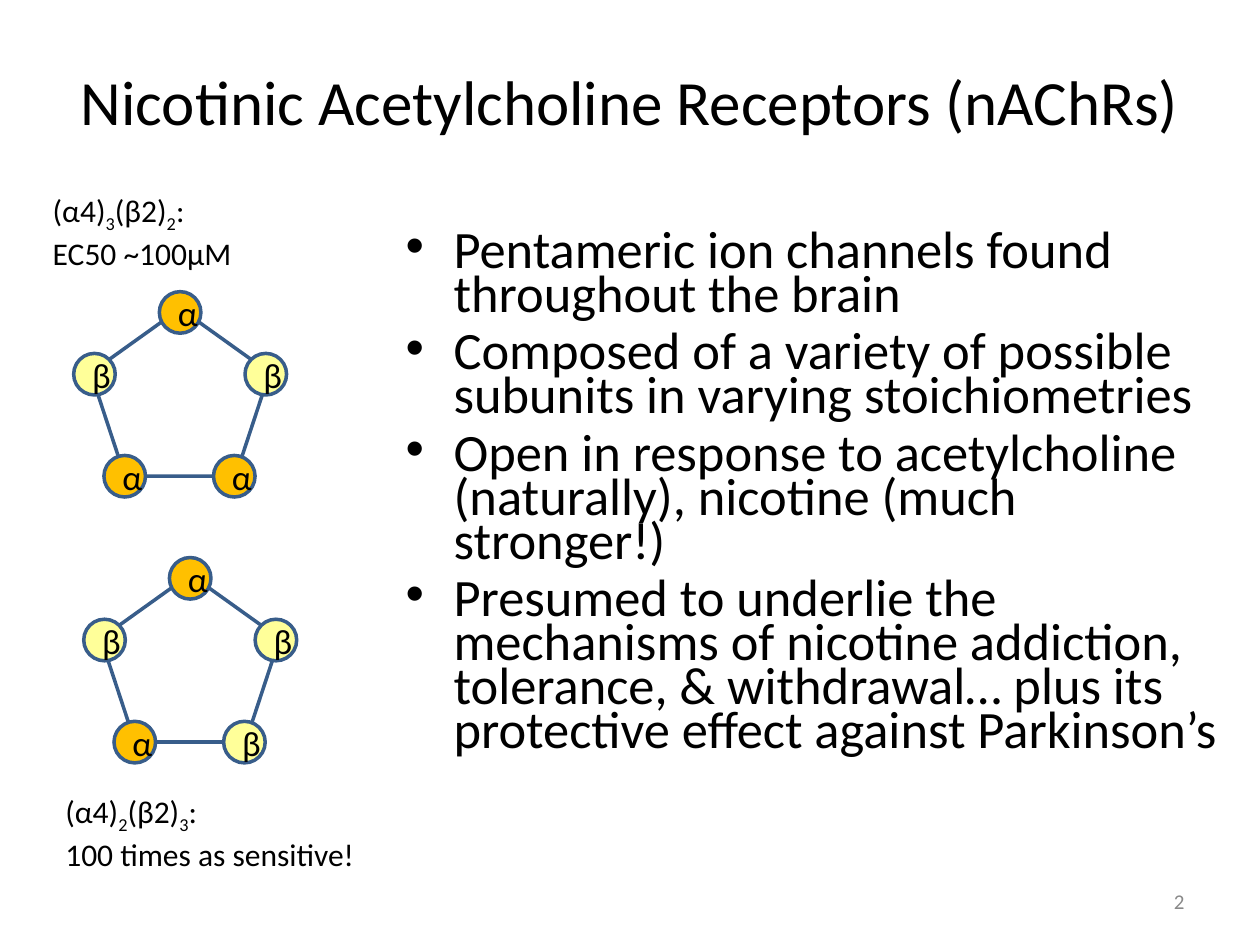
from lxml import etree
from pptx import Presentation
from pptx.dml.color import RGBColor
from pptx.enum.shapes import MSO_SHAPE as SHAPE
from pptx.enum.text import MSO_ANCHOR as ANCHOR, MSO_AUTO_SIZE as AUTO, PP_ALIGN as ALIGN
from pptx.oxml.ns import qn
from pptx.util import Inches, Pt

COLORS = {"text": "000000", "number": "898989", "outline": "385D8A",
          "α": "FFC000", "β": "FFFF99"}
FONT = "Calibri"

TITLE = "Nicotinic Acetylcholine Receptors (nAChRs)"
SLIDE_NUMBER = "2"
BULLETS = [
    "Pentameric ion channels found throughout the brain",
    "Composed of a variety of possible subunits in varying stoichiometries",
    "Open in response to acetylcholine (naturally), nicotine (much stronger!)",
    "Presumed to underlie the mechanisms of nicotine addiction, tolerance, "
    "& withdrawal… plus its protective effect against Parkinson’s",
]
# Pentagon left and top, then subunits counter-clockwise from the top
RECEPTORS = [(0.72, 2.45, "αβααβ"), (0.8, 4.56, "αβαββ")]
# Caption box, counts of α4 and β2, second line, wrapping
CAPTIONS = [
    ((0.32, 1.47, 1.78, 0.74), "3", "2", "EC50 ~100μM", True),
    ((0.42, 6.24, 2.49, 0.74), "2", "3", "100 times as sensitive!", False),
]
PENTAGON_W, PENTAGON_H, SUBUNIT_D = 1.42, 1.33, 0.33
# Subunit centres, measured from the middle of the pentagon's top edge
CENTERS = [(0, 0.03), (-0.68, 0.52), (-0.44, 1.33), (0.43, 1.33), (0.68, 0.52)]


def rgb(name):
    return RGBColor.from_string(COLORS[name])


def style(font, size, color="text"):
    font.name, font.size = FONT, Pt(size)
    font.color.rgb = rgb(color)


def place(sp, *box):
    sp.left, sp.top, sp.width, sp.height = map(Inches, box)


def add_outlined(shapes, kind, *box):
    sp = shapes.add_shape(kind, *map(Inches, box))
    sp.shadow.inherit = False
    sp.line.color.rgb = rgb("outline")
    sp.line.width = Pt(2)
    return sp


def add_receptor(s, left, top, subunits):
    shapes = s.shapes.add_group_shape().shapes
    ring = add_outlined(shapes, SHAPE.REGULAR_PENTAGON, left, top, PENTAGON_W, PENTAGON_H)
    ring.fill.background()
    for name, (dx, dy) in zip(subunits, CENTERS):
        x = left + PENTAGON_W / 2 + dx - SUBUNIT_D / 2
        y = top + dy - SUBUNIT_D / 2
        sp = add_outlined(shapes, SHAPE.OVAL, x, y, SUBUNIT_D, SUBUNIT_D)
        sp.fill.solid()
        sp.fill.fore_color.rgb = rgb(name)
        tf = sp.text_frame
        tf.text, tf.vertical_anchor = name, ANCHOR.MIDDLE
        p = tf.paragraphs[0]
        p.alignment = ALIGN.CENTER
        style(p.runs[0].font, 20)


def add_caption(s, box, alphas, betas, note, wrap):
    tf = s.shapes.add_textbox(*map(Inches, box)).text_frame
    tf.word_wrap, tf.auto_size = wrap, AUTO.SHAPE_TO_FIT_TEXT
    p = tf.paragraphs[0]
    for text in ("(α4)", alphas, "(β2)", betas, ":"):
        r = p.add_run()
        r.text = text
        style(r.font, 18)
        if text.isdigit():
            r.font._element.set("baseline", "-25000")
    p = tf.add_paragraph()
    p.text = note
    style(p.runs[0].font, 18)


def add_bullets(body):
    place(body, 3.12, 1.8, 6.65, 5.13)
    tf = body.text_frame
    tf.text = "\n".join(BULLETS)
    tf.auto_size = AUTO.NONE
    for i, p in enumerate(tf.paragraphs):
        p.line_spacing = 0.7
        p.space_before = Pt(7.5 if i else 0)
        pPr = p._p.get_or_add_pPr()
        pPr.set("marL", str(Inches(0.38)))
        pPr.set("indent", str(Inches(-0.38)))
        etree.SubElement(pPr, qn("a:buFont")).set("typeface", "Arial")
        etree.SubElement(pPr, qn("a:buChar")).set("char", "•")
        style(p.runs[0].font, 30)


def add_slide_number(s):
    tf = s.shapes.add_textbox(*map(Inches, (7.17, 6.95, 2.33, 0.4))).text_frame
    tf.word_wrap, tf.vertical_anchor = True, ANCHOR.MIDDLE
    tf.text = SLIDE_NUMBER
    p = tf.paragraphs[0]
    p.alignment = ALIGN.RIGHT
    style(p.runs[0].font, 12, "number")


def main():
    prs = Presentation()
    prs.slide_width, prs.slide_height = Inches(10), Inches(7.5)
    s = prs.slides.add_slide(prs.slide_layouts[1])
    title, body = s.placeholders
    place(title, 0.5, 0.17, 9, 1.25)
    tf = title.text_frame
    tf.text, tf.vertical_anchor = TITLE, ANCHOR.MIDDLE
    tf.paragraphs[0].alignment = ALIGN.CENTER
    style(tf.paragraphs[0].runs[0].font, 36)
    add_slide_number(s)
    for receptor in RECEPTORS:
        add_receptor(s, *receptor)
    add_bullets(body)
    for caption in CAPTIONS:
        add_caption(s, *caption)
    prs.save("out.pptx")


if __name__ == "__main__":
    main()
